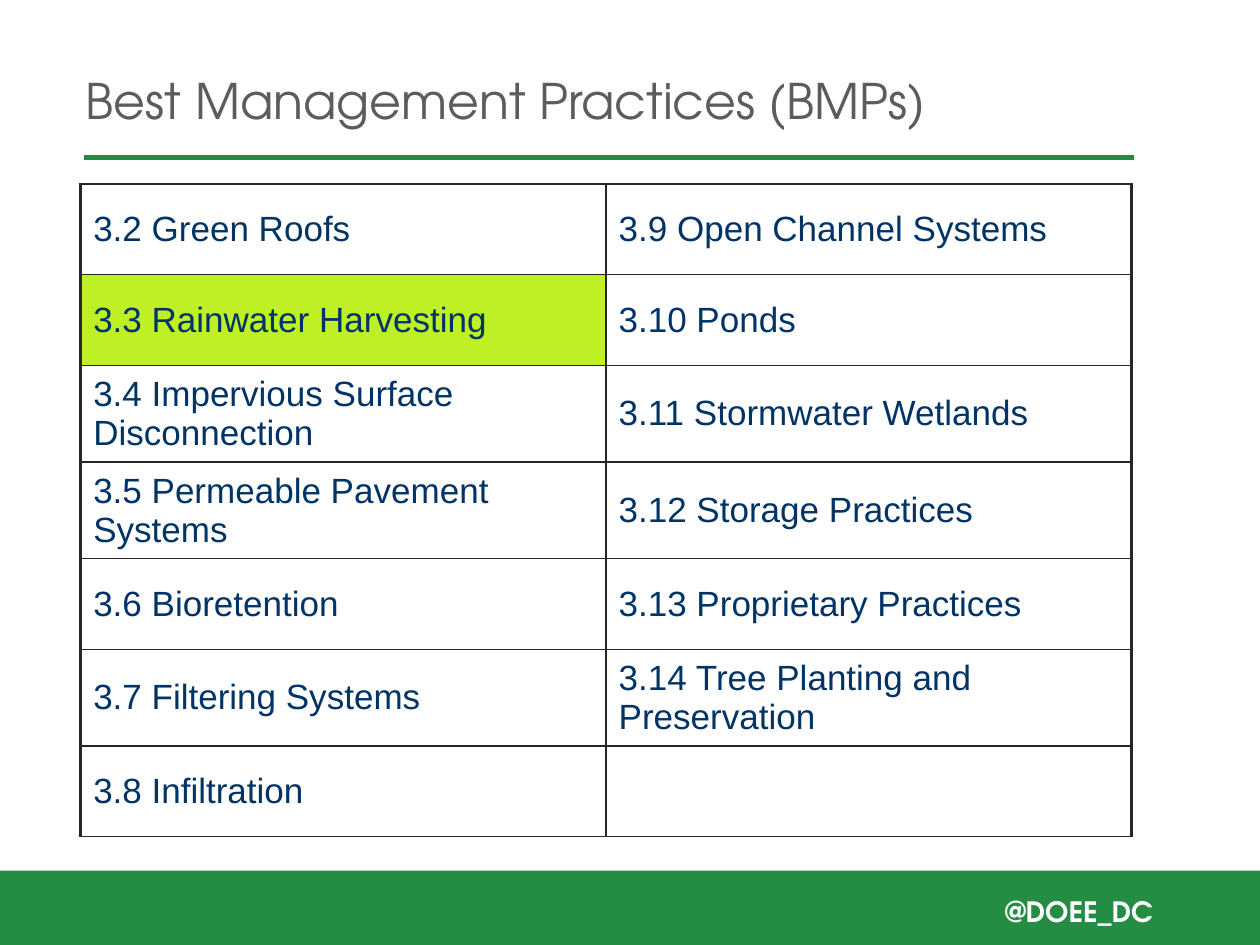
from dataclasses import dataclass

from lxml import etree
from pptx import Presentation
from pptx.dml.color import RGBColor
from pptx.enum.shapes import MSO_CONNECTOR, MSO_SHAPE
from pptx.enum.text import MSO_ANCHOR, MSO_AUTO_SIZE, PP_ALIGN
from pptx.oxml.ns import qn
from pptx.util import Pt

EMU_PER_PX = 9144  # 100 px to the inch
RECTANGLE = MSO_SHAPE.RECTANGLE
STRAIGHT = MSO_CONNECTOR.STRAIGHT
MIDDLE = MSO_ANCHOR.MIDDLE
LEFT, RIGHT = PP_ALIGN.LEFT, PP_ALIGN.RIGHT
NO_AUTOFIT = MSO_AUTO_SIZE.NONE
TITLE_ONLY = 5


@dataclass(frozen=True)
class Theme:
    title_ink: str = "5C5C5C"
    table_ink: str = "003366"
    border: str = "262626"
    rule: str = "218B40"
    footer: str = "248C43"
    highlight: str = "BFEF25"
    white: str = "FFFFFF"
    heading_font: str = "TeX Gyre Adventor"
    table_font: str = "Arial"
    title_size: int = 28
    table_size: int = 20
    handle_size: int = 16
    rule_width: float = 3
    outer_width: float = 2.25
    inner_width: float = 1


@dataclass(frozen=True)
class Box:
    left: int
    top: int
    width: int
    height: int

    def emu(self) -> tuple[int, ...]:
        return tuple(px(side) for side in (self.left, self.top, self.width, self.height))


@dataclass(frozen=True)
class Practice:
    name: str
    highlighted: bool = False


THEME = Theme()
TITLE_BOX = Box(58, 25, 805, 108)
FOOTER_BOX = Box(-25, 691, 1075, 67)
HANDLE_BOX = Box(775, 705, 150, 37)
TABLE_LEFT, TABLE_TOP = 64, 146
COLUMN_WIDTH, ROW_HEIGHT = 417, 72

PRACTICE_COLUMNS = (
    (
        Practice("3.2 Green Roofs"),
        Practice("3.3 Rainwater Harvesting", highlighted=True),
        Practice("3.4 Impervious Surface Disconnection"),
        Practice("3.5 Permeable Pavement Systems"),
        Practice("3.6 Bioretention"),
        Practice("3.7 Filtering Systems"),
        Practice("3.8 Infiltration"),
    ),
    (
        Practice("3.9 Open Channel Systems"),
        Practice("3.10 Ponds"),
        Practice("3.11 Stormwater Wetlands"),
        Practice("3.12 Storage Practices"),
        Practice("3.13 Proprietary Practices"),
        Practice("3.14 Tree Planting and Preservation"),
        Practice(""),
    ),
)


def px(length: int) -> int:
    return length * EMU_PER_PX


def rgb(color: str) -> RGBColor:
    return RGBColor.from_string(color)


def write(frame, words: str, font: str, size: int, color: str,
          bold: bool = False, align=LEFT) -> None:
    frame.text = words
    para = frame.paragraphs[0]
    para.alignment = align
    formats = {"name": font, "size": Pt(size), "bold": bold}
    for attribute, value in formats.items():
        setattr(para.font, attribute, value)
    para.font.color.rgb = rgb(color)


def add_title(page) -> None:
    title = page.shapes.title
    title.left, title.top, title.width, title.height = TITLE_BOX.emu()
    frame = title.text_frame
    write(frame, "Best Management Practices (BMPs)",
          THEME.heading_font, THEME.title_size, THEME.title_ink)
    frame.auto_size = NO_AUTOFIT
    frame.vertical_anchor = MIDDLE


def add_title_rule(page) -> None:
    rule = page.shapes.add_connector(STRAIGHT, px(67), px(125), px(900), px(125))
    rule.line.color.rgb = rgb(THEME.rule)
    rule.line.width = Pt(THEME.rule_width)
    etree.SubElement(rule._element.spPr, qn("a:effectLst"))


def add_footer(page) -> None:
    band = page.shapes.add_shape(RECTANGLE, *FOOTER_BOX.emu())
    band.shadow.inherit = False
    band.fill.solid()
    band.fill.fore_color.rgb = rgb(THEME.footer)
    band.line.fill.background()
    handle = page.shapes.add_textbox(*HANDLE_BOX.emu())
    handle.text_frame.word_wrap = True
    write(handle.text_frame, "@DOEE_DC", THEME.heading_font,
          THEME.handle_size, THEME.white, bold=True, align=RIGHT)


def add_borders(cell, widths: dict[str, float]) -> None:
    """Add one line per side; must come before the cell's fill."""
    properties = cell._tc.get_or_add_tcPr()
    for side, width in widths.items():
        line = etree.SubElement(properties, qn(f"a:ln{side}"), w=str(Pt(width)))
        fill = etree.SubElement(line, qn("a:solidFill"))
        etree.SubElement(fill, qn("a:srgbClr"), val=THEME.border)


def format_cell(cell, practice: Practice, outer_side: str) -> None:
    widths = dict.fromkeys("LRTB", THEME.inner_width)
    widths[outer_side] = THEME.outer_width
    add_borders(cell, widths)
    if practice.highlighted:
        cell.fill.solid()
        cell.fill.fore_color.rgb = rgb(THEME.highlight)
    else:
        cell.fill.background()
    cell.vertical_anchor = MIDDLE
    write(cell.text_frame, practice.name, THEME.table_font,
          THEME.table_size, THEME.table_ink)


def add_practice_table(page) -> None:
    columns, rows = len(PRACTICE_COLUMNS), len(PRACTICE_COLUMNS[0])
    box = Box(TABLE_LEFT, TABLE_TOP, columns * COLUMN_WIDTH, rows * ROW_HEIGHT)
    table = page.shapes.add_table(rows, columns, *box.emu()).table
    table.first_row = table.horz_banding = False
    for column, (practices, outer_side) in enumerate(zip(PRACTICE_COLUMNS, "LR")):
        for row, practice in enumerate(practices):
            format_cell(table.cell(row, column), practice, outer_side)


def main() -> None:
    deck = Presentation()
    deck.slide_width, deck.slide_height = px(1000), px(750)
    page = deck.slides.add_slide(deck.slide_layouts[TITLE_ONLY])
    add_title(page)
    add_title_rule(page)
    add_footer(page)
    add_practice_table(page)
    deck.save("out.pptx")


if __name__ == "__main__":
    main()
